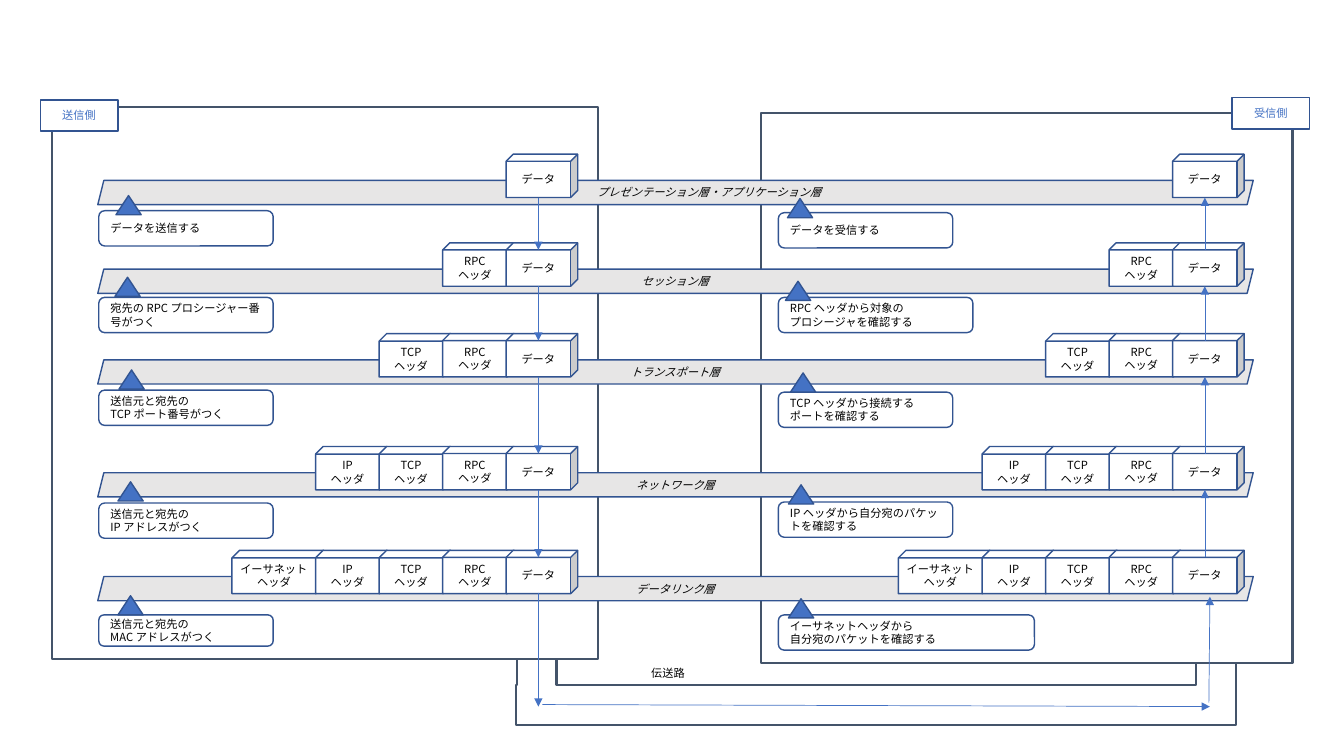
from collections import namedtuple
from dataclasses import dataclass

from lxml.etree import SubElement
from pptx import Presentation
from pptx.dml.color import RGBColor
from pptx.enum.shapes import MSO_CONNECTOR, MSO_SHAPE
from pptx.enum.text import MSO_ANCHOR, PP_ALIGN
from pptx.oxml.ns import qn
from pptx.util import Inches, Pt

# Content: one layer per row, each note is (lines, left, top, width, height),
# each marker is (left, top)
Layer = namedtuple("Layer", "name top send_note send_marker receive_note receive_marker")
LAYERS = [
    Layer("プレゼンテーション層・アプリケーション層", 1.53,
          (["データを送信する"], 0.98, 2.09, 1.73, 0.35), (1.15, 1.94),
          (["データを受信する"], 7.72, 2.11, 1.73, 0.35), (7.81, 1.97)),
    Layer("セッション層", 2.41,
          (["宛先の RPC プロシージャー番号がつく"], 0.98, 2.95, 1.73, 0.35), (1.14, 2.75),
          (["RPC ヘッダから対象の", "プロシージャを確認する"], 7.72, 2.95, 1.93, 0.35), (7.79, 2.79)),
    Layer("トランスポート層", 3.31,
          (["送信元と宛先の", "TCP ポート番号がつく"], 0.98, 3.87, 1.73, 0.35), (1.18, 3.67),
          (["TCP ヘッダから接続する", "ポートを確認する"], 7.72, 3.89, 1.73, 0.35), (7.84, 3.7)),
    Layer("ネットワーク層", 4.43,
          (["送信元と宛先の", "IP アドレスがつく"], 0.98, 4.99, 1.73, 0.35), (1.17, 4.78),
          (["IP ヘッダから自分宛のパケットを確認する"], 7.72, 4.98, 1.73, 0.35), (7.82, 4.81)),
    Layer("データリンク層", 5.46,
          (["送信元と宛先の", "MAC アドレスがつく"], 0.98, 6.1, 1.73, 0.31), (1.17, 5.91),
          (["イーサネットヘッダから", "自分宛のパケットを確認する"], 7.72, 6.1, 2.54, 0.35), (7.82, 5.94)),
]
# Packet parts from the outermost header to the data: (lines, width, depth)
PARTS = [
    (["イーサネット", "ヘッダ"], 0.91, 0.175),
    (["IP", "ヘッダ"], 0.71, 0.175),
    (["TCP", "ヘッダ"], 0.71, 0.175),
    (["RPC", "ヘッダ"], 0.71, 0.163),
    (["データ"], 0.71, 0.163),
]
HOSTS = [(0.52, 1.06, 5.41, 5.48), (7.55, 1.12, 5.27, 5.46)]
HOST_LABELS = [("送信側", 0.4, 0.99), ("受信側", 12.22, 0.97)]
CHANNEL = [(5.13, 6.54), (5.52, 6.54), (5.52, 6.8), (11.86, 6.8), (11.86, 6.54),
           (12.26, 6.54), (12.26, 7.19), (5.12, 7.19), (5.12, 6.8), (5.13, 6.8)]
CHANNEL_ARROWS = [((5.34, 5.88), (5.34, 7.01)), ((11.99, 6.97), (12, 5.92)),
                  ((5.38, 6.99), (12, 7.01))]

# Geometry shared by the rows
PACKET_RIGHTS = (5.65, 12.26)
ARROW_LEFTS = (5.34, 11.95)
OVERLAP = 0.08
CUBE_HEIGHT = 0.43
CUBE_TOP_FACE = 0.07
BAND_DROP = 0.26


@dataclass(frozen=True)
class Theme:
    font: str = "Noto Sans CJK JP"
    size: float = 8
    text: str = "000000"
    accent: str = "4472C4"
    outline: str = "325491"
    frame: str = "44546A"
    band: str = "E7E6E6"
    paper: str = "FFFFFF"
    thin: float = 0.5
    normal: float = 1
    thick: float = 1.5


THEME = Theme()


def write(box, lines, color=THEME.text, align=PP_ALIGN.LEFT, anchor=MSO_ANCHOR.MIDDLE,
          italic=None, wrap=True, left=0.1, right=0.1):
    frame = box.text_frame
    frame.word_wrap = wrap
    frame.vertical_anchor = anchor
    frame.margin_left, frame.margin_right = Inches(left), Inches(right)
    for index, line in enumerate(lines):
        para = frame.paragraphs[0] if index == 0 else frame.add_paragraph()
        para.alignment = align
        span = para.add_run()
        span.text = line
        span.font.size = Pt(THEME.size)
        span.font.italic = italic
        span.font.color.rgb = RGBColor.from_string(color)
        span.font.name = THEME.font
        SubElement(span._r.get_or_add_rPr(), qn("a:ea"), typeface=THEME.font)


def paint(shape, fill, line, weight):
    shape.shadow.inherit = False
    shape.fill.solid()
    shape.fill.fore_color.rgb = RGBColor.from_string(fill)
    shape.line.color.rgb = RGBColor.from_string(line)
    shape.line.width = Pt(weight)


def add_box(page, kind, left, top, width, height, fill=THEME.paper,
            line=THEME.outline, weight=THEME.normal):
    box = page.shapes.add_shape(kind, Inches(left), Inches(top), Inches(width), Inches(height))
    paint(box, fill, line, weight)
    return box


def add_arrow(page, start, end):
    arrow = page.shapes.add_connector(MSO_CONNECTOR.STRAIGHT,
                                      *(Inches(value) for value in start + end))
    arrow.line.color.rgb = RGBColor.from_string(THEME.accent)
    arrow.line.width = Pt(THEME.thin)
    SubElement(arrow.line._get_or_add_ln(), qn("a:tailEnd"), type="triangle")
    SubElement(arrow._element.spPr, qn("a:effectLst"))


def add_packet(page, right, top, count):
    parts = PARTS[-count:]
    left = right - sum(width - OVERLAP for _, width, _ in parts)
    for lines, width, depth in parts:
        cube = add_box(page, MSO_SHAPE.CUBE, left, top, width, CUBE_HEIGHT)
        cube.adjustments[0] = depth
        inset = 0 if len(lines) == 1 else 0.1
        write(cube, lines, align=PP_ALIGN.CENTER, wrap=False, left=inset, right=inset)
        left += width - OVERLAP


def add_channel(page):
    points = [(Inches(x), Inches(y)) for x, y in CHANNEL]
    builder = page.shapes.build_freeform(*points[0])
    builder.add_line_segments(points[1:], close=True)
    paint(builder.convert_to_shape(), THEME.paper, THEME.frame, THEME.thick)


def main():
    deck = Presentation()
    deck.slide_width, deck.slide_height = Inches(13.33), Inches(7.5)
    page = deck.slides.add_slide(deck.slide_layouts[6])

    # Transmission channel and the two hosts
    add_channel(page)
    for host in HOSTS:
        add_box(page, MSO_SHAPE.RECTANGLE, *host, line=THEME.frame, weight=THEME.thick)

    # Layer bands; the top label sits right of centre
    for layer in reversed(LAYERS):
        band = add_box(page, MSO_SHAPE.PARALLELOGRAM, 0.97, layer.top + BAND_DROP,
                       11.46, 0.24, fill=THEME.band)
        write(band, [layer.name], align=PP_ALIGN.CENTER, italic=True,
              left=0.77 if layer is LAYERS[0] else 0.1)

    # Channel and host labels
    label = page.shapes.add_textbox(Inches(6.36), Inches(6.56), Inches(0.96), Inches(0.24))
    write(label, ["伝送路"], anchor=MSO_ANCHOR.TOP)
    for name, left, top in HOST_LABELS:
        tab = add_box(page, MSO_SHAPE.RECTANGLE, left, top, 0.77, 0.31)
        write(tab, [name], color=THEME.accent, align=PP_ALIGN.CENTER)

    # Notes with their markers, then the packets
    for count, layer in enumerate(LAYERS, start=1):
        for lines, *place in (layer.send_note, layer.receive_note):
            write(add_box(page, MSO_SHAPE.ROUNDED_RECTANGLE, *place), lines)
        for marker in (layer.send_marker, layer.receive_marker):
            add_box(page, MSO_SHAPE.ISOSCELES_TRIANGLE, *marker, 0.25, 0.19, fill=THEME.accent)
        for right in PACKET_RIGHTS:
            add_packet(page, right, layer.top, count)

    # Arrows down the sender, up the receiver and through the channel
    send_left, receive_left = ARROW_LEFTS
    for upper, lower in zip(LAYERS, LAYERS[1:]):
        start, end = upper.top + CUBE_HEIGHT, lower.top + CUBE_TOP_FACE
        add_arrow(page, (send_left, start), (send_left, end))
        add_arrow(page, (receive_left, end), (receive_left, start))
    for start, end in CHANNEL_ARROWS:
        add_arrow(page, start, end)

    deck.save("out.pptx")


if __name__ == "__main__":
    main()
